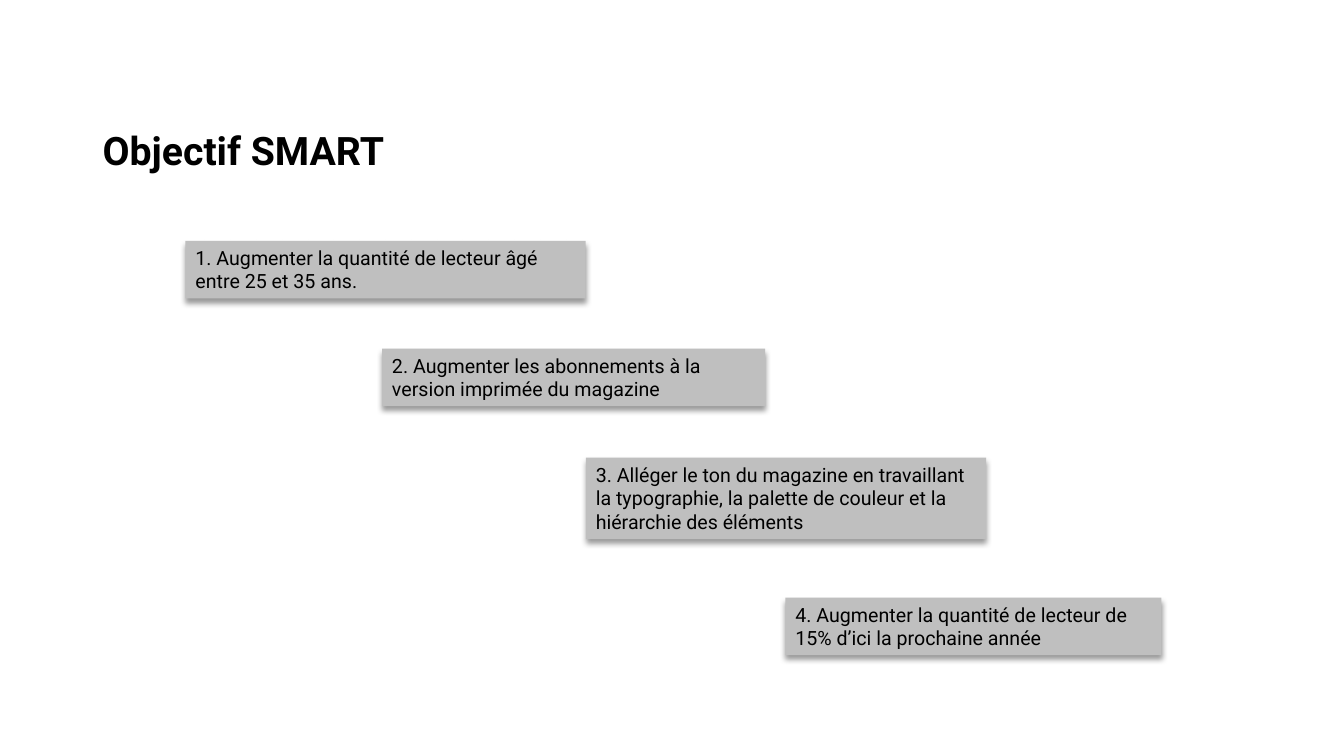
from dataclasses import dataclass

from lxml.etree import SubElement
from pptx import Presentation
from pptx.dml.color import RGBColor
from pptx.enum.shapes import MSO_SHAPE
from pptx.enum.text import MSO_ANCHOR, MSO_AUTO_SIZE, PP_ALIGN
from pptx.oxml.ns import qn
from pptx.util import Inches, Pt


@dataclass(frozen=True)
class Theme:
    """Colours, font and type sizes of the slide."""
    font: str = "Roboto"
    text: str = "000000"
    card: str = "BFBFBF"
    shadow: str = "000000"
    title_size: int = 28
    card_size: int = 14


THEME = Theme()
WIDTH, HEIGHT = Inches(13.33), Inches(7.5)
COLUMN, ROW = WIDTH / 100, HEIGHT / 100
TITLE_BOX = (6.9, 15.6, 86.27, 9.33)
STEPS_BOX = (13.8, 31.87, 72.62, 54.8)
OBJECTIVES = [
    (0, 0, 29.78, 7.6, "Augmenter la quantité de lecteur âgé entre 25 et 35 ans."),
    (14.63, 14.26, 28.5, 7.6, "Augmenter les abonnements à la version imprimée du magazine"),
    (29.79, 28.66, 29.78, 10.8,
     "Alléger le ton du magazine en travaillant la typographie, "
     "la palette de couleur et la hiérarchie des éléments"),
    (44.64, 47.2, 27.98, 7.6, "Augmenter la quantité de lecteur de 15% d’ici la prochaine année"),
]


def to_slide(left, top, width, height):
    """Turn grid columns and rows into slide lengths."""
    return int(left * COLUMN), int(top * ROW), int(width * COLUMN), int(height * ROW)


def write(paragraph, text, size, bold=False):
    """Add one styled run to a left-aligned paragraph."""
    paragraph.alignment = PP_ALIGN.LEFT
    run = paragraph.add_run()
    run.text = text
    run.font.name = THEME.font
    run.font.size = Pt(size)
    run.font.bold = bold
    run.font.color.rgb = RGBColor.from_string(THEME.text)


def add_shadow(shape):
    """Give a shape a soft shadow that falls straight down."""
    shape.shadow.inherit = False
    effects = shape._element.spPr.find(qn("a:effectLst"))
    shadow = SubElement(effects, qn("a:outerShdw"), blurRad=str(Pt(4)), dist=str(Pt(3)),
                        dir="5400000", algn="t", rotWithShape="0")
    color = SubElement(shadow, qn("a:srgbClr"), val=THEME.shadow)
    SubElement(color, qn("a:alpha"), val="40000")


def add_title(slide, box, text):
    """Place the bold slide title in its box."""
    frame = slide.shapes.add_textbox(*to_slide(*box)).text_frame
    frame.word_wrap = True
    frame.vertical_anchor = MSO_ANCHOR.MIDDLE
    paragraph = frame.paragraphs[0]
    paragraph.line_spacing = 0.9
    write(paragraph, text, THEME.title_size, bold=True)


def add_card(slide, box, text):
    """Place one grey card with its shadow and text."""
    shape = slide.shapes.add_shape(MSO_SHAPE.RECTANGLE, *to_slide(*box))
    shape.fill.solid()
    shape.fill.fore_color.rgb = RGBColor.from_string(THEME.card)
    shape.line.fill.background()
    add_shadow(shape)
    frame = shape.text_frame
    frame.word_wrap = True
    frame.auto_size = MSO_AUTO_SIZE.SHAPE_TO_FIT_TEXT
    frame.vertical_anchor = MSO_ANCHOR.TOP
    write(frame.paragraphs[0], text, THEME.card_size)


def add_staircase(slide, box, objectives):
    """Place the numbered cards as descending steps inside the box."""
    for number, (left, top, width, height, text) in enumerate(objectives, 1):
        card_box = (box[0] + left, box[1] + top, width, height)
        add_card(slide, card_box, f"{number}. {text}")


def main():
    """Build and save the presentation."""
    presentation = Presentation()
    presentation.slide_width, presentation.slide_height = WIDTH, HEIGHT
    slide = presentation.slides.add_slide(presentation.slide_layouts[6])
    add_title(slide, TITLE_BOX, "Objectif SMART")
    add_staircase(slide, STEPS_BOX, OBJECTIVES)
    presentation.save("out.pptx")


if __name__ == "__main__":
    main()
